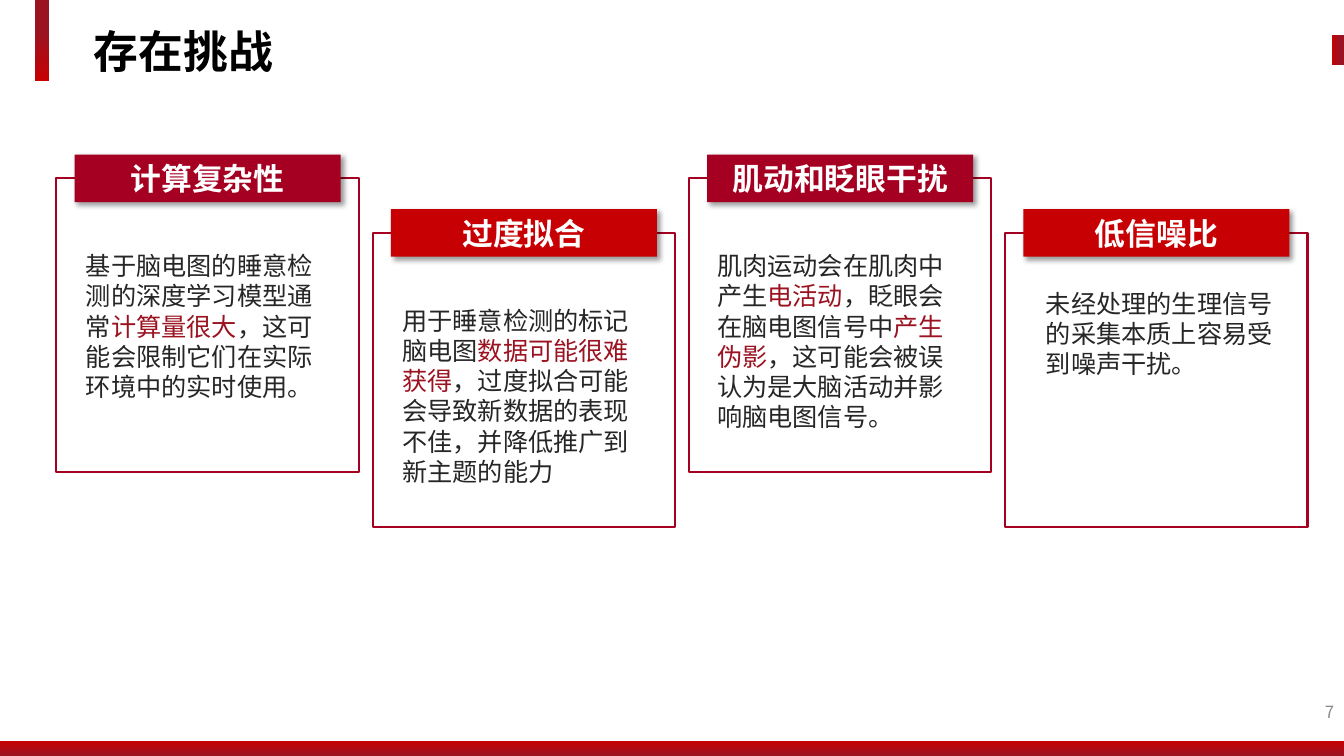
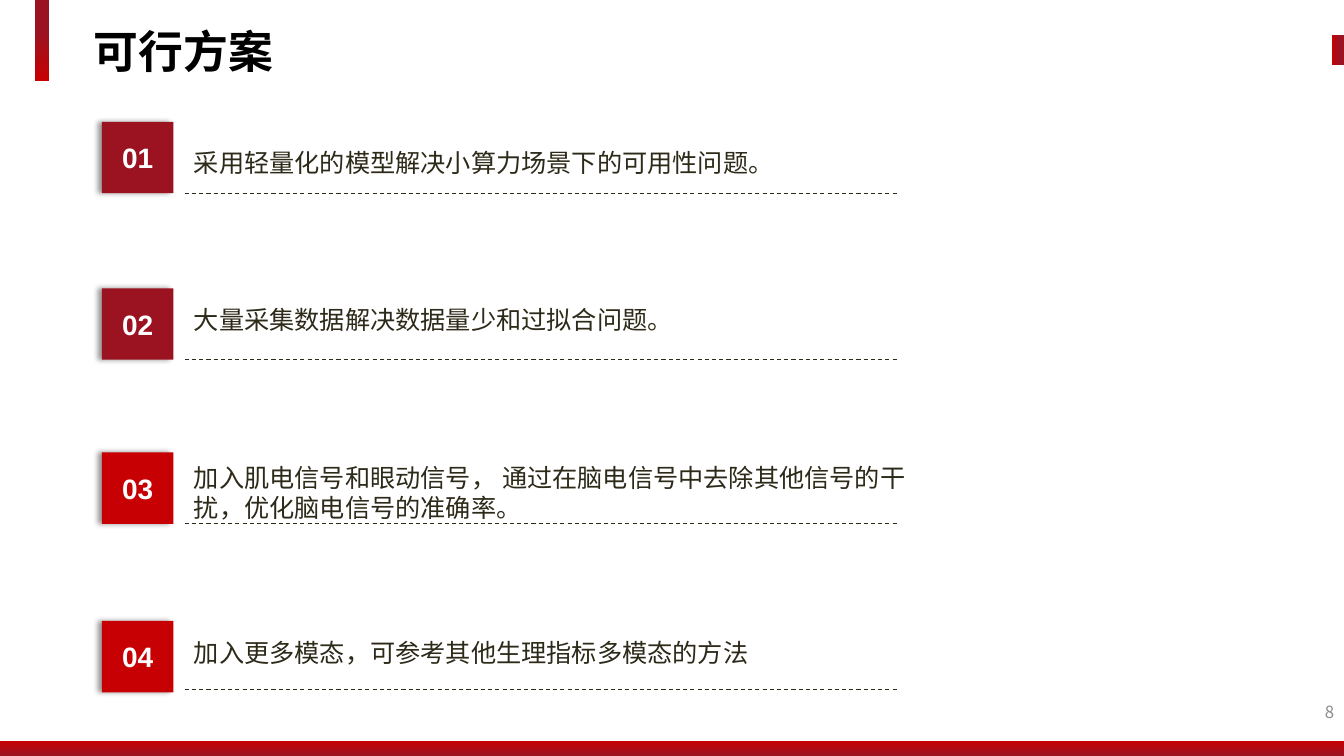
import pptx
import pptx.dml.color
import pptx.enum.dml
import pptx.enum.shapes
import pptx.enum.text
import pptx.oxml
import pptx.oxml.ns
import pptx.util

Pt = pptx.util.Pt
RGBColor = pptx.dml.color.RGBColor
Align = pptx.enum.text.PP_ALIGN
Anchor = pptx.enum.text.MSO_ANCHOR

DARK_RED = RGBColor(0x9B, 0x13, 0x21)
BRIGHT_RED = RGBColor(0xC7, 0x00, 0x03)
CRIMSON = RGBColor(0xA5, 0x00, 0x21)
WHITE = RGBColor(0xFF, 0xFF, 0xFF)
BLACK = RGBColor(0x00, 0x00, 0x00)
CHARCOAL = RGBColor(0x26, 0x26, 0x26)
OLIVE_BLACK = RGBColor(0x2D, 0x2A, 0x19)
GREY = RGBColor(0x8C, 0x8C, 0x8C)

CHINESE_FONT = "Noto Sans CJK SC"
SLIDE_WIDTH, SLIDE_HEIGHT = 960, 540

CARD_LEFT, CARD_PITCH, CARD_WIDTH, CARD_HEIGHT = 40.3, 225.9, 216, 210
CARD_TOPS = (127.4, 166.3)
HEADER_COLORS = (CRIMSON, BRIGHT_RED)
HEADER_WIDTH, HEADER_HEIGHT = 190, 34

# Header, body with accents between bars, left and top of the body in the card
CHALLENGES = [
    ("计算复杂性",
     "基于脑电图的睡意检测的深度学习模型通常|计算量很大|，这可能会限制它们在实际环境中的实时使用。",
     14, 48),
    ("过度拟合",
     "用于睡意检测的标记脑电图|数据可能很难获得|，过度拟合可能会导致新数据的表现不佳，并降低推广到新主题的能力",
     14, 48),
    ("肌动和眨眼干扰",
     "肌肉运动会在肌肉中产生|电活动|，眨眼会在脑电图信号中|产生伪影|，这可能会被误认为是大脑活动并影响脑电图信号。",
     13, 48),
    ("低信噪比", "未经处理的生理信号的采集本质上容易受到噪声干扰。", 22, 36),
]

# Text, badge colour, then the tops of badge, text and rule
SOLUTIONS = [
    ("采用轻量化的模型解决小算力场景下的可用性问题。", DARK_RED, 87, 101, 138),
    ("大量采集数据解决数据量少和过拟合问题。", DARK_RED, 206, 213.5, 257),
    ("加入肌电信号和眼动信号， 通过在脑电信号中去除其他信号的干扰，优化脑电信号的准确率。",
     BRIGHT_RED, 323.2, 326, 374.2),
    ("加入更多模态，可参考其他生理指标多模态的方法", BRIGHT_RED, 443.5, 451, 492.5),
]


def write_text(shape, text, *, size, color, font=CHINESE_FONT, bold=False, accent=None,
               align=Align.LEFT, anchor=Anchor.TOP, line_spacing=None):
    """Fill a shape with one paragraph; parts between bars take the accent colour."""
    frame = shape.text_frame
    frame.word_wrap = True
    frame.vertical_anchor = anchor
    paragraph = frame.paragraphs[0]
    paragraph.alignment = align
    if line_spacing:
        paragraph.line_spacing = Pt(line_spacing)
    for index, part in enumerate(text.split("|")):
        run = paragraph.add_run()
        run.text = part
        run.font.size = Pt(size)
        run.font.bold = bold
        run.font.name = font
        run.font.color.rgb = accent if index % 2 else color
        east_asian = pptx.oxml.parse_xml(
            f'<a:ea {pptx.oxml.ns.nsdecls("a")} typeface="{CHINESE_FONT}"/>')
        run.font._element.find(pptx.oxml.ns.qn("a:latin")).addnext(east_asian)


def add_text_box(slide, text, left, top, width, height, **text_format):
    box = slide.shapes.add_textbox(Pt(left), Pt(top), Pt(width), Pt(height))
    write_text(box, text, **text_format)


def add_rectangle(slide, left, top, width, height, fill=None, line=None):
    shape = slide.shapes.add_shape(pptx.enum.shapes.MSO_SHAPE.RECTANGLE,
                                   Pt(left), Pt(top), Pt(width), Pt(height))
    shape.shadow.inherit = False
    if fill is None:
        shape.fill.background()
    else:
        shape.fill.solid()
        shape.fill.fore_color.rgb = fill
    if line is None:
        shape.line.fill.background()
    else:
        shape.line.color.rgb = line
        shape.line.width = Pt(1.5)
    return shape


def add_gradient_bar(slide, left, top, width, height, angle, start):
    bar = add_rectangle(slide, left, top, width, height)
    bar.fill.gradient()
    bar.fill.gradient_angle = angle
    stops = zip(bar.fill.gradient_stops, (start, 1), (DARK_RED, BRIGHT_RED))
    for stop, position, color in stops:
        stop.position = position
        stop.color.rgb = color


def add_shadow(shape, direction):
    """Cast a soft black shadow towards the direction in degrees."""
    effects = shape._element.spPr.find(pptx.oxml.ns.qn("a:effectLst"))
    effects.append(pptx.oxml.parse_xml(
        f'<a:outerShdw {pptx.oxml.ns.nsdecls("a")} blurRad="{Pt(4)}" dist="{Pt(3)}"'
        f' dir="{direction * 60000}" algn="ctr" rotWithShape="0">'
        '<a:srgbClr val="000000"><a:alpha val="40000"/></a:srgbClr></a:outerShdw>'))


def add_label(slide, text, left, top, width, height, fill, shadow_direction, **text_format):
    label = add_rectangle(slide, left, top, width, height, fill=fill)
    add_shadow(label, shadow_direction)
    write_text(label, text, color=WHITE, bold=True, align=Align.CENTER,
               anchor=Anchor.MIDDLE, **text_format)


def add_dashed_rule(slide, left, right, top):
    rule = slide.shapes.add_connector(pptx.enum.shapes.MSO_CONNECTOR.STRAIGHT,
                                      Pt(left), Pt(top), Pt(right), Pt(top))
    rule.line.color.rgb = OLIVE_BLACK
    rule.line.width = Pt(0.75)
    rule.line.dash_style = pptx.enum.dml.MSO_LINE.DASH
    rule._element.spPr.append(
        pptx.oxml.parse_xml(f'<a:effectLst {pptx.oxml.ns.nsdecls("a")}/>'))


def add_base_slide(presentation, title, number):
    """Add a blank slide with the shared bars, title and page number."""
    slide = presentation.slides.add_slide(presentation.slide_layouts[6])
    add_gradient_bar(slide, 951.5, 25, 8.5, 21.5, angle=180, start=0.39)
    add_gradient_bar(slide, 25, 0, 10, 58, angle=270, start=0.39)
    add_gradient_bar(slide, 0, 529, SLIDE_WIDTH, 11, angle=90, start=0)
    add_text_box(slide, title, 60, 13.5, 409, 45, size=32, color=BLACK, bold=True,
                 anchor=Anchor.MIDDLE)
    add_text_box(slide, str(number), 744, 498, 216, 29, size=12, color=GREY,
                 align=Align.RIGHT)
    return slide


def add_challenge_cards(slide):
    for index, (header, body, body_left, body_top) in enumerate(CHALLENGES):
        left = CARD_LEFT + index * CARD_PITCH
        top = CARD_TOPS[index % 2]
        add_rectangle(slide, left, top, CARD_WIDTH, CARD_HEIGHT, line=CRIMSON)
        add_text_box(slide, body, left + body_left, top + body_top, HEADER_WIDTH, 138,
                     size=18, color=CHARCOAL, accent=DARK_RED, font="Calibri",
                     line_spacing=21.6)
        add_label(slide, header, left + (CARD_WIDTH - HEADER_WIDTH) / 2,
                  top - HEADER_HEIGHT / 2, HEADER_WIDTH, HEADER_HEIGHT,
                  HEADER_COLORS[index % 2], 45, size=22, font="Calibri")


def add_solution_rows(slide):
    for number, (text, color, badge_top, text_top, rule_top) in enumerate(SOLUTIONS, 1):
        add_label(slide, f"{number:02}", 72.8, badge_top, 51, 51, color, 180,
                  size=20, font="Arial")
        add_dashed_rule(slide, 132, 642, rule_top)
        add_text_box(slide, text, 131.5, text_top, 534, 29, size=18,
                     color=OLIVE_BLACK, font="Arial", line_spacing=22)


def main():
    presentation = pptx.Presentation()
    presentation.slide_width = Pt(SLIDE_WIDTH)
    presentation.slide_height = Pt(SLIDE_HEIGHT)
    add_challenge_cards(add_base_slide(presentation, "存在挑战", 7))
    add_solution_rows(add_base_slide(presentation, "可行方案", 8))
    presentation.save("out.pptx")


if __name__ == "__main__":
    main()
